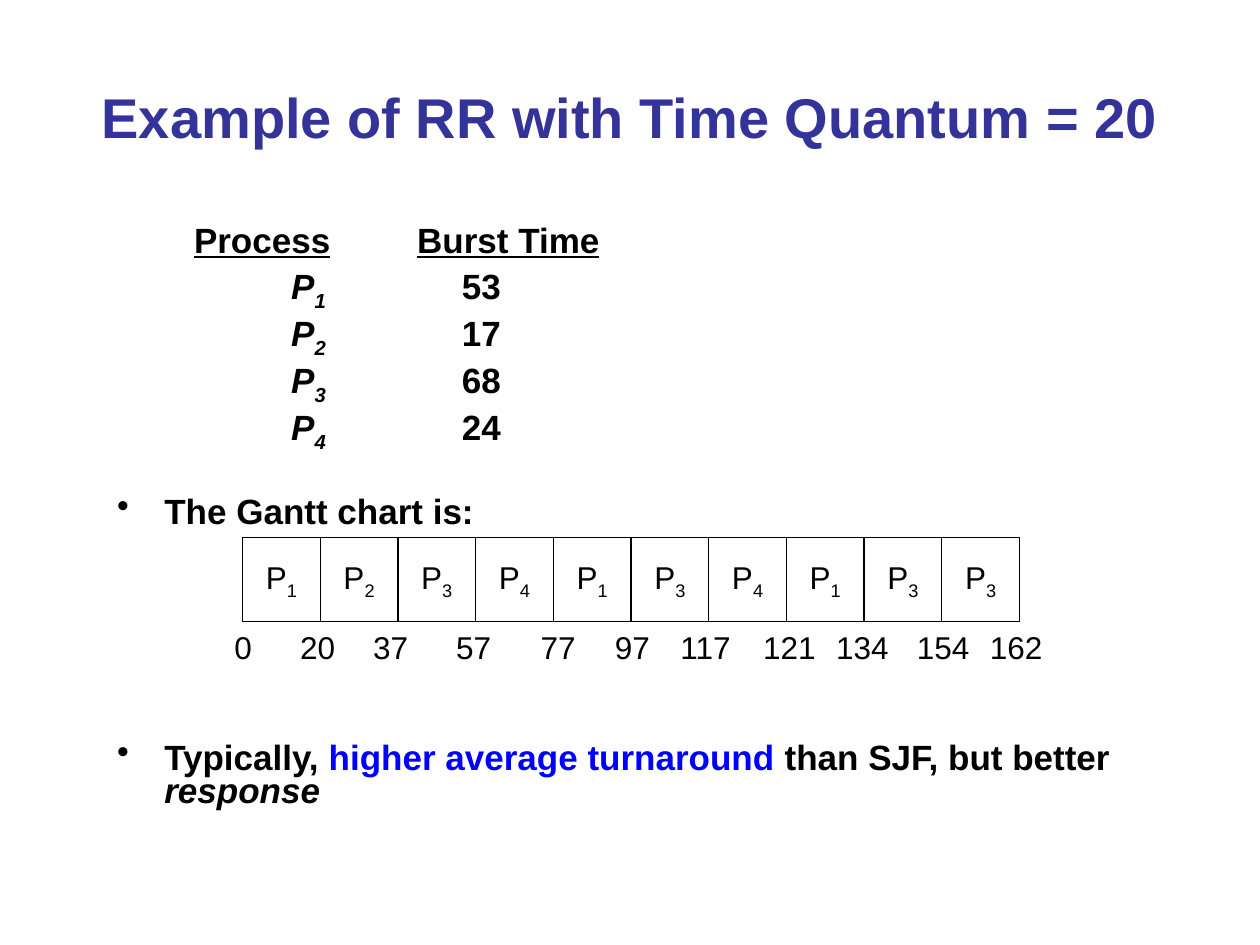
from lxml import etree
from pptx import Presentation
from pptx.dml.color import RGBColor
from pptx.enum import shapes, text
from pptx.oxml import ns
from pptx.util import Pt

BLACK = RGBColor(0, 0, 0)
WHITE = RGBColor(255, 255, 255)
NAVY = RGBColor(0x33, 0x33, 0x99)
BLUE = RGBColor(0, 0, 255)

BURST_TIMES = [53, 17, 68, 24]
SCHEDULE = [1, 2, 3, 4, 1, 3, 4, 1, 3, 3]
TIME_MARKS = [(0, 139), (20, 181.5), (37, 223.2), (57, 270.7), (77, 319),
              (97, 361.4), (117, 403.2), (121, 451.1), (134, 492.8),
              (154, 538.9), (162, 580.7)]
CHART_LEFT, CHART_TOP = 138.6, 307.2
CELL_WIDTH, CELL_HEIGHT = 44.4, 48


def add_span(para, words, size, color=BLACK, bold=False, italic=False,
             underline=False, subscript=False):
    span = para.add_run()
    span.text = words
    font = span.font
    font.name, font.size = "Arial", Pt(size)
    font.bold, font.italic, font.underline = bold, italic, underline
    font.color.rgb = color
    if subscript:
        span._r.get_or_add_rPr().set("baseline", "-25000")


def add_title(page, words):
    box = page.shapes.title
    box.left, box.top, box.width, box.height = Pt(36), Pt(21.6), Pt(648), Pt(90)
    box.text_frame.vertical_anchor = text.MSO_ANCHOR.MIDDLE
    para = box.text_frame.paragraphs[0]
    para.alignment = text.PP_ALIGN.CENTER
    add_span(para, words, 32, NAVY, bold=True)


def next_paragraph(frame, before=5):
    para = frame.paragraphs[0] if not frame.text else frame.add_paragraph()
    para.line_spacing = 0.8
    para.space_before = Pt(before)
    return para


def set_tabs(para, *stops):
    tabs = etree.SubElement(para._p.get_or_add_pPr(), ns.qn("a:tabLst"))
    for stop in stops:
        etree.SubElement(tabs, ns.qn("a:tab"), pos=str(Pt(stop)), algn="l")


def add_process_list(frame):
    header = next_paragraph(frame)
    set_tabs(header, 44, 171.5)
    for words in ("Process", "Burst Time"):
        add_span(header, "\t", 20, bold=True)
        add_span(header, words, 20, bold=True, underline=True)
    for number, burst in enumerate(BURST_TIMES, 1):
        row = next_paragraph(frame)
        set_tabs(row, 99.5, 197)
        add_span(row, "\tP", 20, bold=True, italic=True)
        add_span(row, str(number), 20, bold=True, italic=True, subscript=True)
        add_span(row, f"\t{burst}", 20, bold=True)


def add_bullet(frame, before, spans):
    para = next_paragraph(frame, before)
    properties = para._p.get_or_add_pPr()
    properties.set("marL", str(Pt(27)))
    properties.set("indent", str(Pt(-27)))
    etree.SubElement(properties, ns.qn("a:buChar"), char="•")
    for words, style in spans:
        add_span(para, words, 20, bold=True, **style)


def add_body(page):
    box = page.shapes.add_textbox(Pt(59.8), Pt(126), Pt(648), Pt(356.4))
    frame = box.text_frame
    frame.word_wrap = True
    add_process_list(frame)
    add_bullet(frame, 28.4, [("The Gantt chart is:", {})])
    add_bullet(frame, 121, [
        ("Typically, ", {}),
        ("higher average turnaround", {"color": BLUE}),
        (" than SJF, but better ", {}),
        ("response", {"italic": True}),
    ])


def center_text(box):
    frame = box.text_frame
    frame.word_wrap = False
    frame.vertical_anchor = text.MSO_ANCHOR.MIDDLE
    para = frame.paragraphs[0]
    para.alignment = text.PP_ALIGN.CENTER
    return para


def add_cell(group, index, process):
    cell = group.shapes.add_shape(
        shapes.MSO_SHAPE.RECTANGLE, Pt(CHART_LEFT + index * CELL_WIDTH),
        Pt(CHART_TOP), Pt(CELL_WIDTH), Pt(CELL_HEIGHT))
    cell.shadow.inherit = False
    cell.fill.solid()
    cell.fill.fore_color.rgb = WHITE
    cell.line.color.rgb = BLACK
    cell.line.width = Pt(0.75)
    para = center_text(cell)
    add_span(para, "P", 18)
    add_span(para, str(process), 18, subscript=True)


def add_time_mark(group, time, center):
    width = 14.4 + 10 * len(str(time))
    box = group.shapes.add_textbox(Pt(center - width / 2), Pt(355),
                                   Pt(width), Pt(28.8))
    add_span(center_text(box), str(time), 18)
    box.text_frame.auto_size = text.MSO_AUTO_SIZE.SHAPE_TO_FIT_TEXT


def add_gantt_chart(page):
    group = page.shapes.add_group_shape()
    for index, process in enumerate(SCHEDULE):
        add_cell(group, index, process)
    for time, center in TIME_MARKS:
        add_time_mark(group, time, center)


def main():
    deck = Presentation()
    deck.slide_width, deck.slide_height = Pt(720), Pt(540)
    page = deck.slides.add_slide(deck.slide_layouts[5])
    add_title(page, "Example of RR with Time Quantum = 20")
    add_body(page)
    add_gantt_chart(page)
    deck.save("out.pptx")


if __name__ == "__main__":
    main()
